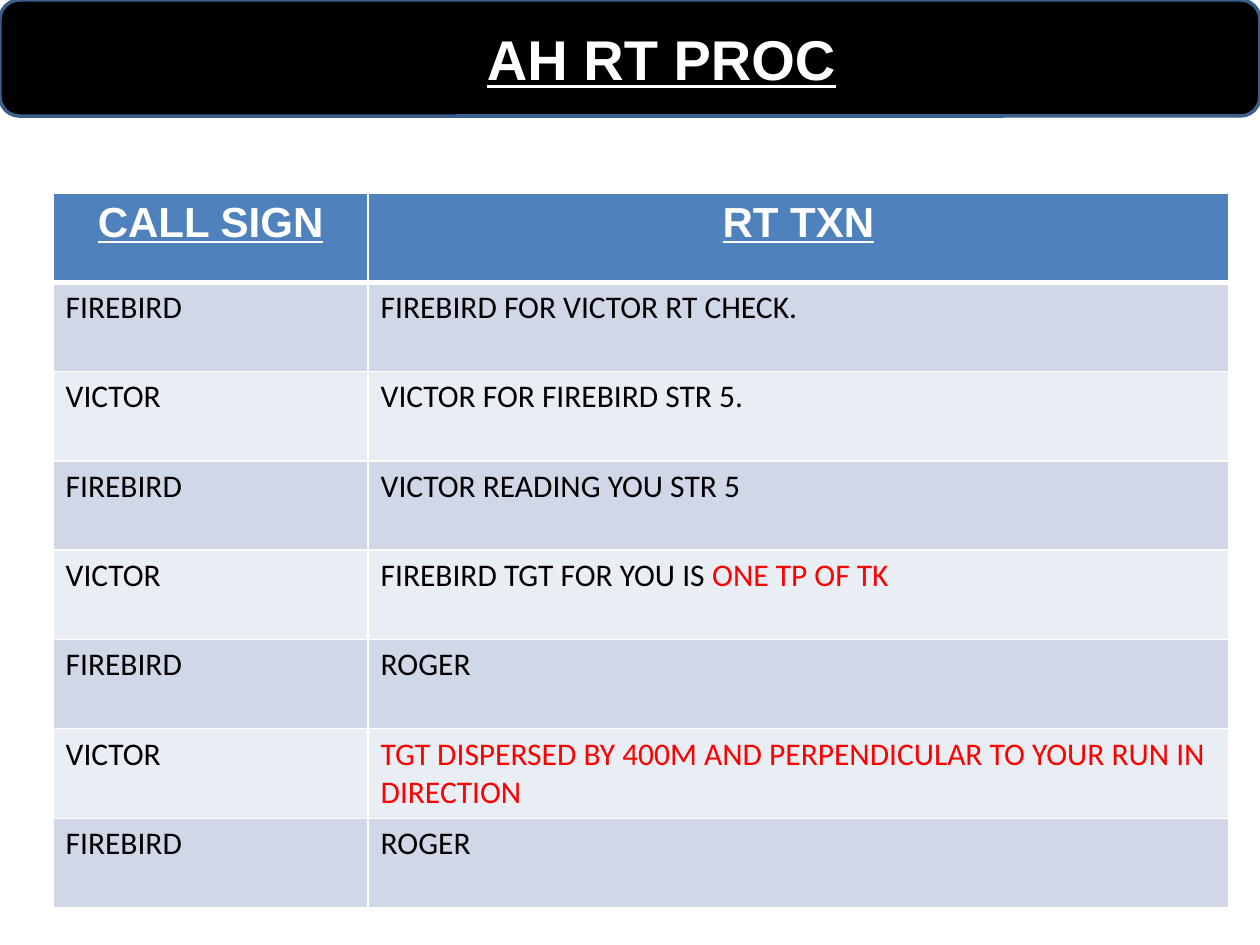
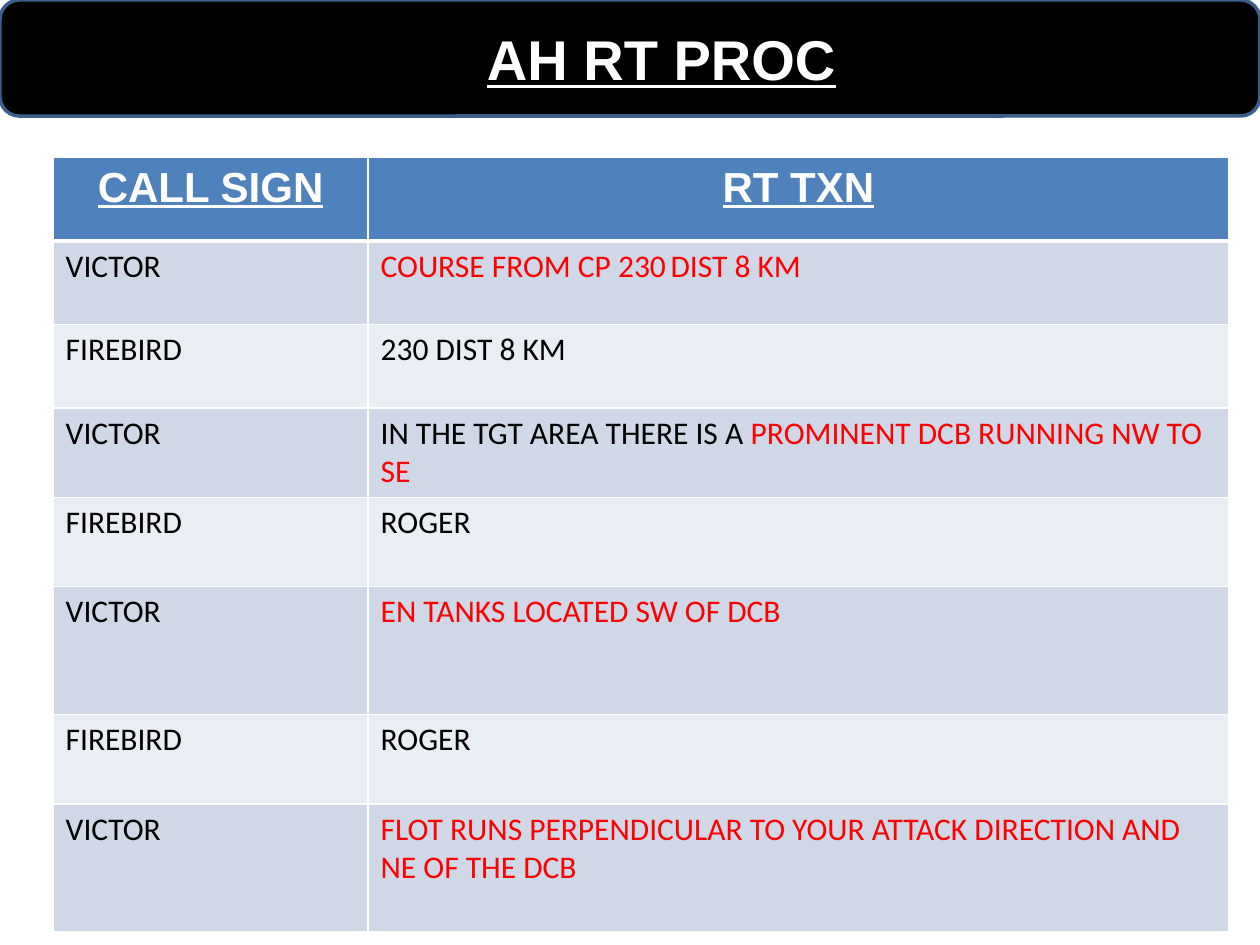
from lxml.etree import SubElement
from pptx import Presentation
from pptx.dml.color import RGBColor
from pptx.enum.shapes import MSO_SHAPE
from pptx.enum.text import MSO_ANCHOR, PP_ALIGN
from pptx.oxml.ns import qn
from pptx.util import Cm, Pt

BLACK = RGBColor(0x00, 0x00, 0x00)
WHITE = RGBColor(0xFF, 0xFF, 0xFF)
RED = RGBColor(0xFF, 0x00, 0x00)
BANNER_LINE = RGBColor(0x3A, 0x5F, 0x8C)
HEADER_FILL = RGBColor(0x4F, 0x81, 0xBD)
BAND_FILLS = [RGBColor(0xD0, 0xD8, 0xE8), RGBColor(0xE9, 0xED, 0xF4)]

SLIDE_WIDTH, SLIDE_HEIGHT = Cm(25.4), Cm(19.05)
BANNER_BOX = (0, 0, SLIDE_WIDTH, Cm(2.34))
TABLE_LEFT = Cm(1.07)
COLUMN_WIDTHS = [Cm(6.35), Cm(17.35)]
TITLE = "AH RT PROC"
HEADINGS = ["CALL SIGN", "RT TXN"]
BODY_SIZE = 18

# Each message is a list of (text, colour) or (text, colour, size) parts.
CHECK_IN = [
    ("FIREBIRD", [("FIREBIRD FOR VICTOR RT CHECK.", BLACK)]),
    ("VICTOR", [("VICTOR FOR FIREBIRD STR 5.", BLACK)]),
    ("FIREBIRD", [("VICTOR READING YOU STR 5", BLACK)]),
    ("VICTOR", [("FIREBIRD TGT FOR YOU IS ", BLACK), ("ONE TP OF TK", RED)]),
    ("FIREBIRD", [("ROGER", BLACK)]),
    ("VICTOR", [("TGT DISPERSED BY 400M AND PERPENDICULAR TO YOUR RUN IN "
                 "DIRECTION", RED)]),
    ("FIREBIRD", [("ROGER", BLACK)]),
]
TARGET_BRIEF = [
    ("VICTOR", [("COURSE FROM CP 230", RED), (" ", RED, 11),
                ("DIST 8 KM", RED)]),
    ("FIREBIRD", [("230 DIST 8 KM", BLACK)]),
    ("VICTOR", [("IN THE TGT AREA THERE IS A ", BLACK),
                ("PROMINENT DCB RUNNING NW TO SE", RED)]),
    ("FIREBIRD", [("ROGER", BLACK)]),
    ("VICTOR", [("EN TANKS LOCATED SW OF DCB", RED)]),
    ("FIREBIRD", [("ROGER", BLACK)]),
    ("VICTOR", [("FLOT RUNS PERPENDICULAR TO YOUR ATTACK DIRECTION AND "
                 "NE OF THE DCB", RED)]),
]


def add_run(paragraph, text, color, size=BODY_SIZE, name="Calibri",
            heading=False):
    run = paragraph.add_run()
    run.text = text
    font = run.font
    font.name, font.size = name, Pt(size)
    font.bold = font.underline = heading
    font.color.rgb = color


def add_heading(paragraph, text, size):
    paragraph.alignment = PP_ALIGN.CENTER
    add_run(paragraph, text, WHITE, size, "Arial", heading=True)


def add_banner(slide, box):
    banner = slide.shapes.add_shape(MSO_SHAPE.ROUNDED_RECTANGLE, *box)
    banner.shadow.inherit = False
    banner.fill.solid()
    banner.fill.fore_color.rgb = BLACK
    banner.line.color.rgb = BANNER_LINE
    banner.line.width = Pt(2)
    banner.text_frame.vertical_anchor = MSO_ANCHOR.MIDDLE
    paragraph = banner.text_frame.paragraphs[0]
    paragraph.level = 1
    add_heading(paragraph, TITLE, 32)


def style_cell(cell, row_index):
    """Give a cell white borders, heavier under the header, and its fill."""
    properties = cell._tc.get_or_add_tcPr()
    heavy_side = {0: "lnB", 1: "lnT"}.get(row_index)
    for side in ("lnL", "lnR", "lnT", "lnB"):
        width = Pt(3 if side == heavy_side else 1)
        line = SubElement(properties, qn(f"a:{side}"), w=str(width))
        solid = SubElement(line, qn("a:solidFill"))
        SubElement(solid, qn("a:srgbClr"), val=str(WHITE))
    cell.fill.solid()
    cell.fill.fore_color.rgb = (BAND_FILLS[(row_index - 1) % 2] if row_index
                                else HEADER_FILL)


def add_radio_table(slide, left, top, row_heights, exchanges):
    table = slide.shapes.add_table(
        len(row_heights), len(COLUMN_WIDTHS), left, top,
        sum(COLUMN_WIDTHS), sum(row_heights)).table
    for column, width in zip(table.columns, COLUMN_WIDTHS):
        column.width = width
    for row_index, (row, height) in enumerate(zip(table.rows, row_heights)):
        row.height = height
        for cell in row.cells:
            style_cell(cell, row_index)

    for cell, heading in zip(table.rows[0].cells, HEADINGS):
        add_heading(cell.text_frame.paragraphs[0], heading, 24)
    for row_index, (call_sign, message) in enumerate(exchanges, start=1):
        sign_cell, message_cell = table.rows[row_index].cells
        add_run(sign_cell.text_frame.paragraphs[0], call_sign, BLACK)
        for part in message:
            add_run(message_cell.text_frame.paragraphs[0], *part)


def add_procedure_slide(presentation, table_top, row_heights, exchanges):
    slide = presentation.slides.add_slide(presentation.slide_layouts[6])
    add_banner(slide, BANNER_BOX)
    add_radio_table(slide, TABLE_LEFT, table_top, row_heights, exchanges)


def main():
    presentation = Presentation()
    presentation.slide_width = SLIDE_WIDTH
    presentation.slide_height = SLIDE_HEIGHT
    add_procedure_slide(presentation, Cm(3.89), [Cm(1.8)] * 8, CHECK_IN)
    brief_heights = [Cm(1.68)] * 3 + [Cm(1.8)] * 2 + [
        Cm(2.58), Cm(1.8), Cm(2.58)]
    add_procedure_slide(presentation, Cm(3.18), brief_heights, TARGET_BRIEF)
    presentation.save("out.pptx")


if __name__ == "__main__":
    main()
